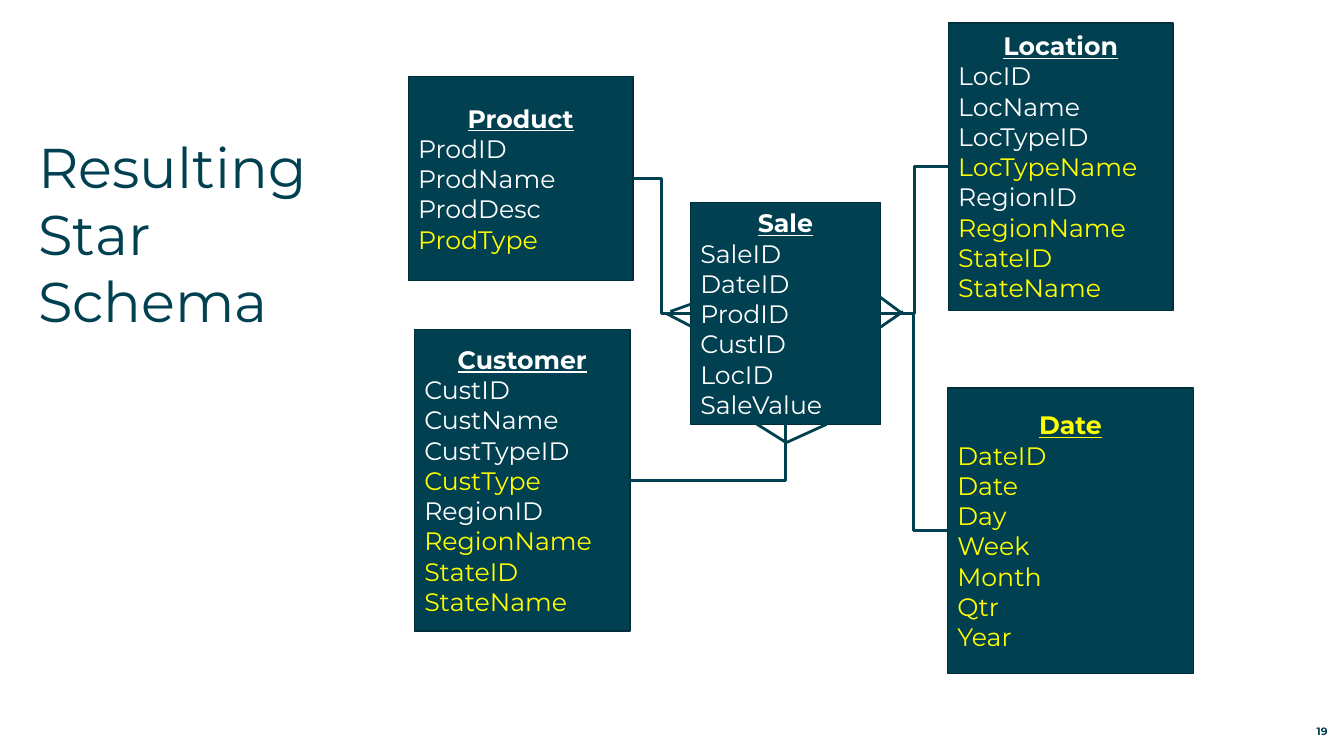
from dataclasses import dataclass

from lxml.etree import SubElement
from pptx import Presentation
from pptx.dml.color import RGBColor
from pptx.enum.shapes import MSO_CONNECTOR, MSO_SHAPE
from pptx.enum.text import MSO_ANCHOR, MSO_AUTO_SIZE, PP_ALIGN
from pptx.oxml.ns import qn
from pptx.util import Pt


@dataclass(frozen=True)
class Theme:
    font: str = "Montserrat"
    teal: RGBColor = RGBColor(0x00, 0x40, 0x50)
    edge: RGBColor = RGBColor(0x00, 0x2F, 0x3B)
    white: RGBColor = RGBColor(0xFF, 0xFF, 0xFF)
    yellow: RGBColor = RGBColor(0xFF, 0xFF, 0x00)
    title: float = 40
    body: float = 18
    small: float = 7.6


THEME = Theme()
TOP, LEFT, BOTTOM, RIGHT = range(4)

TABLES = {
    "Sale": ((493.2, 144.8, 135.6, 158.4),
             "SaleID DateID ProdID CustID LocID SaleValue", ""),
    "Customer": ((296, 235.4, 154.2, 215.4),
                 "CustID CustName CustTypeID CustType RegionID RegionName StateID StateName",
                 "CustType RegionName StateID StateName"),
    "Location": ((677.4, 16.4, 160.6, 205.2),
                 "LocID LocName LocTypeID LocTypeName RegionID RegionName StateID StateName",
                 "LocTypeName RegionName StateID StateName"),
    "Product": ((291.6, 54.8, 160.6, 145.4),
                "ProdID ProdName ProdDesc ProdType", "ProdType"),
    "Date": ((676.8, 277.2, 175.7, 203.8),
             "DateID Date Day Week Month Qtr Year",
             "DateID Date Day Week Month Qtr Year"),
}

LINKS = [
    ("Sale", RIGHT, "Location", LEFT),
    ("Product", RIGHT, "Sale", LEFT),
    ("Customer", RIGHT, "Sale", BOTTOM),
    ("Sale", RIGHT, "Date", LEFT),
]

PRONGS = [
    (625, 209.5, 644.4, 223.9), (626.4, 235.4, 645.1, 222.5),
    (538.6, 301.7, 561.6, 316.1), (560.2, 316.8, 590.4, 303.1),
    (478.8, 222.5, 499, 215.3), (475.9, 223.9, 495.4, 234),
]


def style(para, size, color, bold=False, align=PP_ALIGN.LEFT, under=False):
    para.alignment = align
    for run in para.runs:
        font = run.font
        font.name, font.size = THEME.font, Pt(size)
        font.bold, font.underline = bold, under
        font.color.rgb = color


def set_frame(frame, anchor):
    frame.word_wrap = True
    frame.auto_size = MSO_AUTO_SIZE.NONE
    frame.vertical_anchor = anchor
    frame.margin_left = frame.margin_right = 0
    frame.margin_top = frame.margin_bottom = 0


def add_title(slide, text):
    title = slide.shapes.title
    title.left, title.top = Pt(27.4), Pt(94.3)
    title.width, title.height = Pt(225.4), Pt(206.6)
    set_frame(title.text_frame, MSO_ANCHOR.TOP)
    title.text_frame.text = text
    for para in title.text_frame.paragraphs:
        style(para, THEME.title, THEME.teal)


def add_number(slide, text):
    box = slide.shapes.add_textbox(Pt(886.3), Pt(512.6), Pt(62), Pt(14.4))
    set_frame(box.text_frame, MSO_ANCHOR.BOTTOM)
    box.text_frame.text = text
    style(box.text_frame.paragraphs[0], THEME.small, THEME.teal, True, PP_ALIGN.RIGHT)


def add_entity(slide, name, place, fields, added):
    box = slide.shapes.add_shape(MSO_SHAPE.RECTANGLE, *map(Pt, place))
    box.shadow.inherit = False
    box.fill.solid()
    box.fill.fore_color.rgb = THEME.teal
    box.line.color.rgb = THEME.edge
    box.line.width = Pt(1)
    frame = box.text_frame
    frame.word_wrap = True
    frame.vertical_anchor = MSO_ANCHOR.MIDDLE
    frame.text = "\n".join([name, *fields])
    head, *rows = frame.paragraphs
    color = THEME.yellow if name in added else THEME.white
    style(head, THEME.body, color, True, PP_ALIGN.CENTER, True)
    for row in rows:
        style(row, THEME.body, THEME.yellow if row.text in added else THEME.white)
    return box


def add_line(slide, kind, ends=(0, 0, 0, 0)):
    line = slide.shapes.add_connector(kind, *map(Pt, ends))
    line.line.color.rgb = THEME.teal
    line.line.width = Pt(2)
    SubElement(line._element.spPr, qn("a:effectLst"))
    return line


def add_link(slide, start, exit_side, end, entry_side):
    link = add_line(slide, MSO_CONNECTOR.ELBOW)
    link.begin_connect(start, exit_side)
    link.end_connect(end, entry_side)
    if entry_side == BOTTOM:
        link._element.spPr.find(qn("a:prstGeom")).set("prst", "bentConnector2")


def main():
    deck = Presentation()
    deck.slide_width, deck.slide_height = Pt(960), Pt(540)
    slide = deck.slides.add_slide(deck.slide_layouts[5])
    add_title(slide, "Resulting\nStar Schema")
    add_number(slide, "19")
    boxes = {
        name: add_entity(slide, name, place, fields.split(), added.split())
        for name, (place, fields, added) in TABLES.items()
    }
    for start, exit_side, end, entry_side in LINKS:
        add_link(slide, boxes[start], exit_side, boxes[end], entry_side)
    for ends in PRONGS:
        add_line(slide, MSO_CONNECTOR.STRAIGHT, ends)
    deck.save("out.pptx")


if __name__ == "__main__":
    main()
